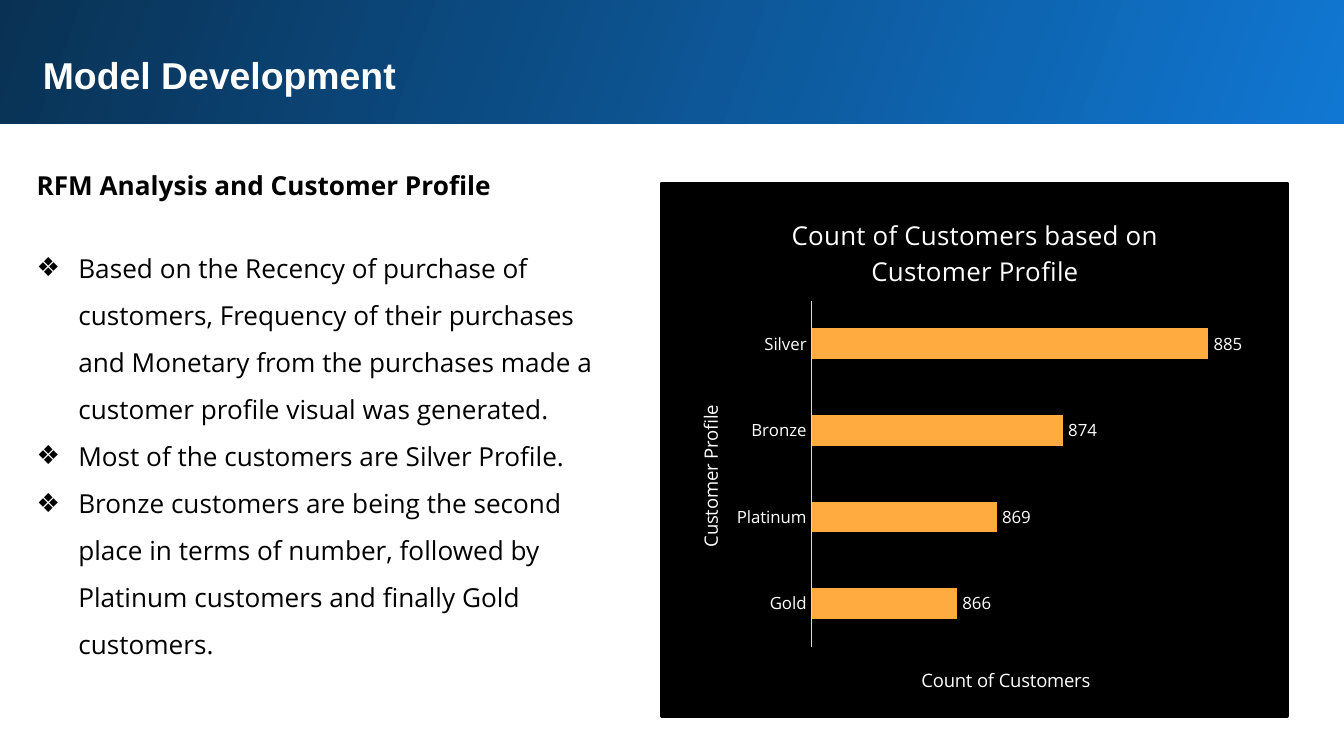
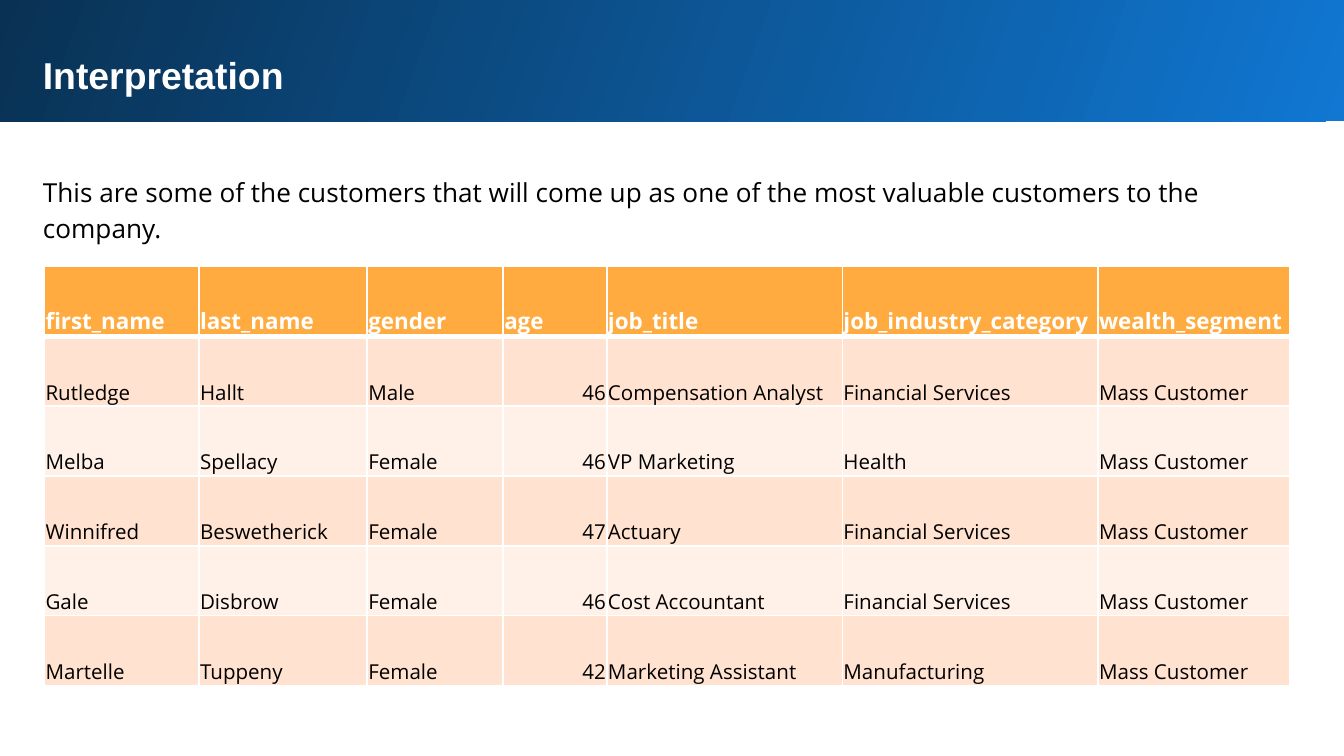
from lxml import etree
from pptx import Presentation
from pptx.chart.data import CategoryChartData
from pptx.dml.color import RGBColor
from pptx.enum.chart import XL_CHART_TYPE, XL_LABEL_POSITION, XL_TICK_MARK
from pptx.enum.shapes import MSO_SHAPE
from pptx.enum.text import MSO_ANCHOR, MSO_AUTO_SIZE, PP_ALIGN
from pptx.oxml import parse_xml
from pptx.oxml.ns import nsdecls, qn
from pptx.util import Cm, Pt

WHITE, BLACK, ORANGE = "FFFFFF", "000000", "FFAB40"
BLUE, NAVY = "1077D2", "093153"
BANDS = ["FFE2CF", "FFF1E8"]
BODY_FONT = "Open Sans"


def style(font, size, color, bold=False, name=BODY_FONT):
    font.name, font.size, font.bold = name, Pt(size), bold
    font.color.rgb = RGBColor.from_string(color)


def set_layout(element, index, **fractions):
    for old in element.findall(qn("c:layout")):
        element.remove(old)
    layout = etree.Element(qn("c:layout"))
    manual = etree.SubElement(layout, qn("c:manualLayout"))
    if "w" in fractions:
        etree.SubElement(manual, qn("c:layoutTarget"), val="inner")
    for axis in "xy":
        etree.SubElement(manual, qn(f"c:{axis}Mode"), val="edge")
    for key, value in fractions.items():
        etree.SubElement(manual, qn(f"c:{key}"), val=str(value))
    element.insert(index, layout)


prs = Presentation()
prs.slide_width, prs.slide_height = Cm(25.4), Cm(14.28)

pages = [
    ("Model Development", (-0.13, 0), (0.56, 3.07, 10.9, 10.44), 0.13),
    ("Interpretation", (-0.05, -0.05), (0.56, 3.0, 23.8, 1.85), 0.25),
]
slides = []
for title_text, band_at, body_box, body_inset in pages:
    slide = prs.slides.add_slide(prs.slide_layouts[1])
    slides.append(slide)
    band = slide.shapes.add_shape(
        MSO_SHAPE.RECTANGLE, Cm(band_at[0]), Cm(band_at[1]), Cm(25.53), Cm(2.34))
    band.shadow.inherit = False
    band.line.fill.background()
    band.fill.gradient()
    band.fill.gradient_angle = 160
    for stop, color in zip(band.fill.gradient_stops, [BLUE, NAVY]):
        stop.color.rgb = RGBColor.from_string(color)
    slide.shapes.title._element.addprevious(band._element)

    title, body = slide.shapes.title, slide.placeholders[1]
    for holder, box, inset in [(title, (0.56, 0.74, 23.8, 2.2), 0.25),
                               (body, body_box, body_inset)]:
        holder.left, holder.top, holder.width, holder.height = map(Cm, box)
        frame = holder.text_frame
        frame.word_wrap = True
        frame.auto_size = MSO_AUTO_SIZE.NONE
        frame.vertical_anchor = MSO_ANCHOR.TOP
        frame.margin_left = frame.margin_right = Cm(inset)
        frame.margin_top = frame.margin_bottom = Cm(inset)
    title.text_frame.text = title_text
    heading = title.text_frame.paragraphs[0]
    heading.alignment = PP_ALIGN.LEFT
    style(heading.runs[0].font, 20, WHITE, True, "Arial")

model, interpretation = slides

profile_lines = [
    "RFM Analysis and Customer Profile",
    "Based on the Recency of purchase of customers, Frequency of their purchases "
    "and Monetary from the purchases made a customer profile visual was generated.",
    "Most of the customers are Silver Profile.",
    "Bronze customers are being the second place in terms of number, followed by "
    "Platinum customers and finally Gold customers.",
]
frame = model.placeholders[1].text_frame
frame.text = "\n".join(profile_lines)
for number, paragraph in enumerate(frame.paragraphs):
    bulleted = number > 0
    style(paragraph.runs[0].font, 14, BLACK, not bulleted)
    paragraph.space_before = Pt(0)
    paragraph.space_after = Pt(0 if bulleted else 19)
    paragraph.line_spacing = 1.5 if bulleted else 1.0
    props = paragraph._p.get_or_add_pPr()
    indent = Cm(0.79) if bulleted else 0
    props.set("marL", str(indent))
    props.set("indent", str(-indent))
    if bulleted:
        etree.SubElement(props, qn("a:buChar"), char="❖")
    else:
        etree.SubElement(props, qn("a:buNone"))

data = CategoryChartData()
data.categories = ["Gold", "Platinum", "Bronze", "Silver"]
data.add_series("Series 1", [866, 869, 874, 885])
chart = model.shapes.add_chart(
    XL_CHART_TYPE.BAR_CLUSTERED, Cm(12.47), Cm(3.43), Cm(11.89), Cm(10.13), data).chart
style(chart.font, 10, WHITE)
chart.has_legend = False
chart.has_title = True

plot = chart.plots[0]
plot.gap_width = 182
plot.vary_by_categories = False
bars = plot.series[0].format.fill
bars.solid()
bars.fore_color.rgb = RGBColor.from_string(ORANGE)
plot.has_data_labels = True
labels = plot.data_labels
labels.show_value = True
labels.position = XL_LABEL_POSITION.OUTSIDE_END
style(labels.font, 9, WHITE)

categories, values = chart.category_axis, chart.value_axis
categories.major_tick_mark = categories.minor_tick_mark = XL_TICK_MARK.NONE
style(categories.tick_labels.font, 9, WHITE)
categories.format.line.color.rgb = RGBColor.from_string("D9D9D9")
categories.format.line.width = Pt(0.75)
values.minimum_scale, values.maximum_scale = 855, 890
values.has_major_gridlines = False
values.visible = False

for chart_text, text, size, x, y in [
    (chart.chart_title, "Count of Customers based on Customer Profile", 14, 0.2, 0.05),
    (categories.axis_title, "Customer Profile", 10, 0.05, 0.41),
    (values.axis_title, "Count of Customers", 10, 0.41, 0.9),
]:
    chart_text.text_frame.text = text
    style(chart_text.text_frame.paragraphs[0].runs[0].font, size, WHITE)
    set_layout(chart_text._element, 1, x=x, y=y)
turned = categories.axis_title.text_frame._txBody.find(qn("a:bodyPr"))
turned.set("rot", "-5400000")
turned.set("vert", "horz")

chart_xml = chart._chartSpace.find(qn("c:chart"))
set_layout(chart_xml.find(qn("c:plotArea")), 0, x=0.24, y=0.22, w=0.74, h=0.65)
paint = f'<a:solidFill><a:srgbClr val="{BLACK}"/></a:solidFill>'
chart_xml.addnext(parse_xml(
    f'<c:spPr {nsdecls("c", "a")}>{paint}<a:ln w="{Pt(2)}">{paint}</a:ln></c:spPr>'))

frame = interpretation.placeholders[1].text_frame
frame.text = ("This are some of the customers that will come up as one of the most "
              "valuable customers to the company.")
intro = frame.paragraphs[0]
intro.line_spacing = 1.15
intro.space_before = Pt(0)
style(intro.runs[0].font, 14, BLACK)
props = intro._p.get_or_add_pPr()
props.set("marL", "0")
props.set("indent", "0")
etree.SubElement(props, qn("a:buNone"))

rows = [
    ("first_name", "last_name", "gender", "age", "job_title",
     "job_industry_category", "wealth_segment"),
    ("Rutledge", "Hallt", "Male", "46", "Compensation Analyst",
     "Financial Services", "Mass Customer"),
    ("Melba", "Spellacy", "Female", "46", "VP Marketing", "Health", "Mass Customer"),
    ("Winnifred", "Beswetherick", "Female", "47", "Actuary",
     "Financial Services", "Mass Customer"),
    ("Gale", "Disbrow", "Female", "46", "Cost Accountant",
     "Financial Services", "Mass Customer"),
    ("Martelle", "Tuppeny", "Female", "42", "Marketing Assistant",
     "Manufacturing", "Mass Customer"),
]
widths = [2.92, 3.18, 2.57, 1.96, 4.45, 4.83, 3.63]
table = interpretation.shapes.add_table(
    len(rows), len(widths), Cm(0.84), Cm(5.03), Cm(sum(widths)), Cm(7.92)).table
for column, width in zip(table.columns, widths):
    column.width = Cm(width)
for r, row in enumerate(rows):
    table.rows[r].height = Cm(1.32)
    header = r == 0
    for c, text in enumerate(row):
        cell = table.cell(r, c)
        cell.text = text
        cell.vertical_anchor = MSO_ANCHOR.BOTTOM
        cell.margin_left = cell.margin_right = cell.margin_top = Cm(0.02)
        cell.margin_bottom = 0
        cell.fill.solid()
        cell.fill.fore_color.rgb = RGBColor.from_string(
            ORANGE if header else BANDS[(r - 1) % 2])
        paragraph = cell.text_frame.paragraphs[0]
        if text.isdigit():
            paragraph.alignment = PP_ALIGN.RIGHT
        style(paragraph.runs[0].font, 12 if header else 11,
              WHITE if header else BLACK, header)
        for position, side in enumerate("LRTB"):
            thick = (r, side) in [(0, "B"), (1, "T")]
            cell._tc.get_or_add_tcPr().insert(position, parse_xml(
                f'<a:ln{side} {nsdecls("a")} w="{Pt(3 if thick else 1)}"><a:solidFill>'
                f'<a:srgbClr val="{WHITE}"/></a:solidFill></a:ln{side}>'))

prs.save("out.pptx")
